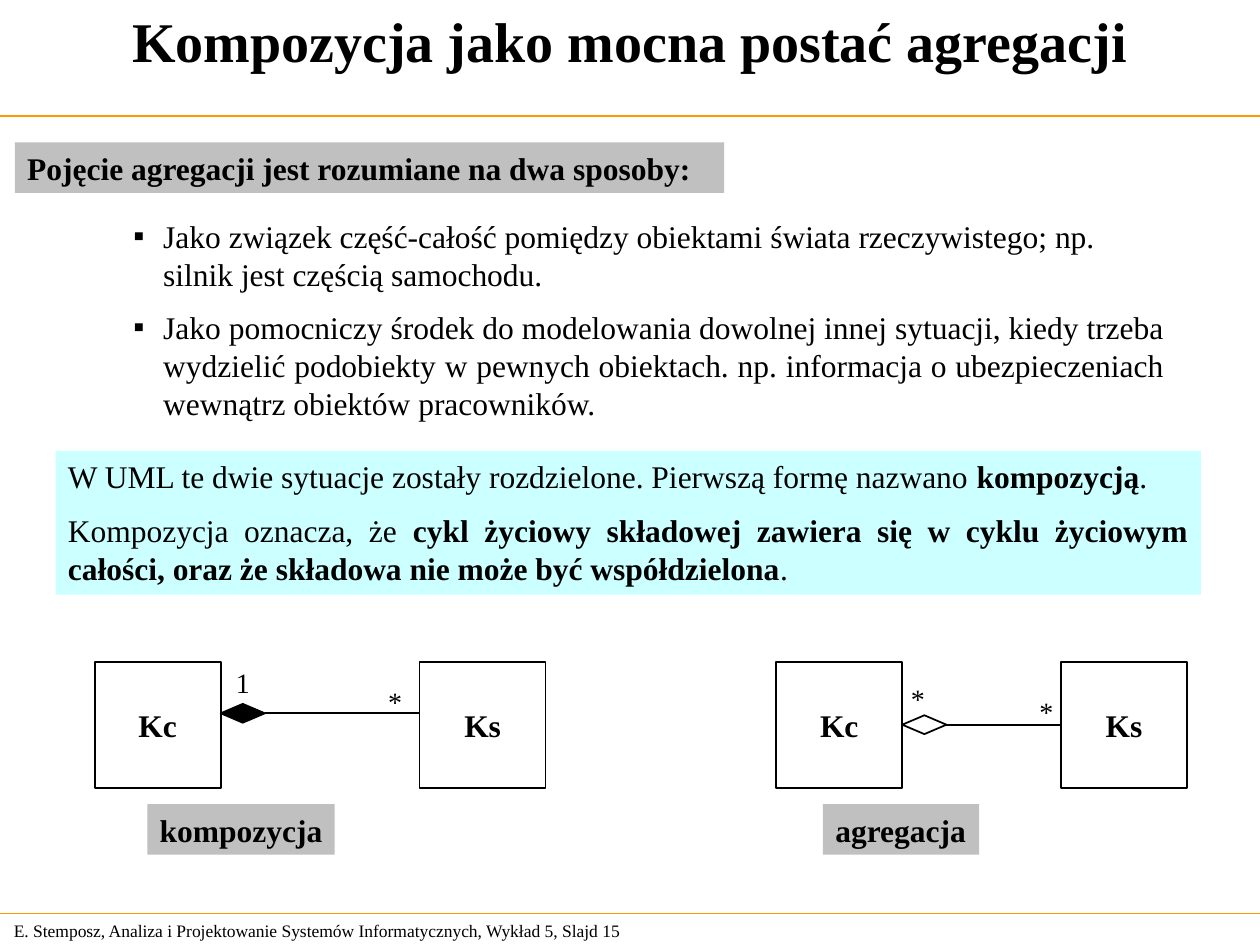
"""Build a lecture slide comparing composition and aggregation in UML."""
from dataclasses import dataclass

from lxml import etree
from pptx import Presentation
from pptx import util as u
from pptx.dml.color import RGBColor
from pptx.enum import shapes, text
from pptx.oxml.ns import qn


@dataclass(frozen=True)
class Theme:
    font: str = "Times New Roman"
    ink: str = "000000"
    rule: str = "FF9900"
    label: str = "C0C0C0"
    note: str = "CCFFFF"
    title: int = 32
    body: int = 18
    mark: int = 16
    footer: int = 10
    gap: int = 9
    outline: float = 1
    rule_width: float = 0.75


THEME = Theme()
WIDTH, HEIGHT = 25.4, 19.05
LEFT, CENTER, JUSTIFY = text.PP_ALIGN.LEFT, text.PP_ALIGN.CENTER, text.PP_ALIGN.JUSTIFY
TOP, MIDDLE = text.MSO_ANCHOR.TOP, text.MSO_ANCHOR.MIDDLE

TITLE = "Kompozycja jako mocna postać agregacji"
HEADING = "Pojęcie agregacji jest rozumiane na dwa sposoby:"
FOOTER = "E. Stemposz, Analiza i Projektowanie Systemów Informatycznych, Wykład 5, Slajd 15"
MEANINGS = [
    ("Jako związek część-całość pomiędzy obiektami świata rzeczywistego; np. "
     "silnik jest częścią samochodu.", LEFT),
    ("Jako pomocniczy środek do modelowania dowolnej innej sytuacji, kiedy trzeba "
     "wydzielić podobiekty w pewnych obiektach. np. informacja o ubezpieczeniach "
     "wewnątrz obiektów pracowników.", JUSTIFY),
]
NOTES = [
    (["W UML te dwie sytuacje zostały rozdzielone. Pierwszą formę nazwano ",
      "kompozycją", "."], LEFT),
    (["Kompozycja oznacza, że ",
      "cykl życiowy składowej zawiera się w cyklu życiowym całości, "
      "oraz że składowa nie może być współdzielona", "."], JUSTIFY),
]
DIAGRAMS = [
    {"label": "agregacja", "label_at": (16.59, 3.15), "whole": 15.65, "part": 21.39,
     "axis": 14.61, "diamond": None,
     "marks": [("*", 20.7, 13.87), ("*", 18.11, 13.61)]},
    {"label": "kompozycja", "label_at": (2.97, 3.78), "whole": 1.91, "part": 8.46,
     "axis": 14.38, "diamond": THEME.ink,
     "marks": [("*", 7.57, 13.67), ("1", 4.5, 13.28)]},
]
RULES = (2.34, 18.42)
BOX, BOX_TOP = 2.54, 13.34
DIAMOND_WIDTH, DIAMOND_HEIGHT = 0.89, 0.38
LABEL_TOP, LABEL_HEIGHT = 16.21, 1.02


def lengths(*values):
    return [u.Cm(value) for value in values]


def format_para(para, size, bold=False, align=LEFT, before=0):
    para.alignment = align
    para.line_spacing = 1.0
    para.space_before, para.space_after = u.Pt(before), u.Pt(0)
    for span in para.runs:
        span.font.name, span.font.size, span.font.bold = THEME.font, u.Pt(size), bold
        span.font.color.rgb = RGBColor.from_string(THEME.ink)


def set_frame(shape, anchor=TOP, wrap=True):
    frame = shape.text_frame
    frame.auto_size = text.MSO_AUTO_SIZE.NONE
    frame.word_wrap, frame.vertical_anchor = wrap, anchor
    frame.margin_left = frame.margin_right = u.Cm(0.25)
    frame.margin_top = frame.margin_bottom = u.Cm(0.13)
    return frame


def write(shape, wording, size, bold=False, align=LEFT, anchor=TOP, wrap=True):
    frame = set_frame(shape, anchor, wrap)
    frame.text = wording
    format_para(frame.paragraphs[0], size, bold, align)


def add_block(page, kind, place, fill=None, line=None):
    block = page.shapes.add_shape(kind, *lengths(*place))
    block.shadow.inherit = False
    if fill:
        block.fill.solid()
        block.fill.fore_color.rgb = RGBColor.from_string(fill)
    else:
        block.fill.background()
    if line:
        block.line.color.rgb = RGBColor.from_string(line)
        block.line.width = u.Pt(THEME.outline)
    else:
        block.line.fill.background()
    return block


def add_line(page, ends, color, width):
    line = page.shapes.add_connector(shapes.MSO_CONNECTOR.STRAIGHT, *lengths(*ends))
    line.line.color.rgb = RGBColor.from_string(color)
    line.line.width = u.Pt(width)
    etree.SubElement(line._element.spPr, qn("a:effectLst"))
    return line


def add_text(page, wording, place, size, **style):
    write(page.shapes.add_textbox(*lengths(*place)), wording, size, **style)


def add_label(page, wording, place):
    label = add_block(page, shapes.MSO_SHAPE.RECTANGLE, place, THEME.label)
    write(label, wording, THEME.body, bold=True, wrap=False)


def add_bullet(para):
    properties = para._p.get_or_add_pPr()
    properties.set("marL", str(u.Cm(0.6)))
    properties.set("indent", str(-u.Cm(0.6)))
    etree.SubElement(properties, qn("a:buFont"), typeface=THEME.font)
    etree.SubElement(properties, qn("a:buChar"), char="▪")


def place_placeholder(holder, place):
    holder.left, holder.top, holder.width, holder.height = lengths(*place)


def add_meanings(body):
    place_placeholder(body, (2.44, 4.24, 21.29, 4.42))
    frame = set_frame(body)
    for index, (wording, align) in enumerate(MEANINGS):
        para = frame.add_paragraph() if index else frame.paragraphs[0]
        para.text = wording
        add_bullet(para)
        format_para(para, THEME.body, align=align, before=THEME.gap if index else 0)


def add_notes(page):
    panel = add_block(page, shapes.MSO_SHAPE.RECTANGLE, (1.12, 9.09, 23.09, 2.9), THEME.note)
    frame = set_frame(panel)
    for index, (pieces, align) in enumerate(NOTES):
        para = frame.add_paragraph() if index else frame.paragraphs[0]
        for piece in pieces:
            para.add_run().text = piece
        format_para(para, THEME.body, align=align, before=THEME.gap if index else 0)
        para.runs[1].font.bold = True


def add_diagram(page, diagram):
    axis, diamond_left = diagram["axis"], diagram["whole"] + BOX
    for name, left in (("Kc", diagram["whole"]), ("Ks", diagram["part"])):
        box = add_block(page, shapes.MSO_SHAPE.RECTANGLE, (left, BOX_TOP, BOX, BOX),
                        line=THEME.ink)
        write(box, name, THEME.body, True, CENTER, MIDDLE, False)
    diamond_place = (diamond_left, axis - DIAMOND_HEIGHT / 2, DIAMOND_WIDTH, DIAMOND_HEIGHT)
    diamond = add_block(page, shapes.MSO_SHAPE.DIAMOND, diamond_place,
                        diagram["diamond"], THEME.ink)
    link = add_line(page, (diamond_left + DIAMOND_WIDTH, axis, diagram["part"], axis),
                    THEME.ink, THEME.outline)
    link.begin_connect(diamond, 3)
    if math_middle(axis):
        link.end_connect(box, 1)
    for mark, left, top in diagram["marks"]:
        add_text(page, mark, (left, top, 0.79, 0.94), THEME.mark, align=CENTER, wrap=False)
    left, width = diagram["label_at"]
    add_label(page, diagram["label"], (left, LABEL_TOP, width, LABEL_HEIGHT))


def math_middle(axis):
    return abs(axis - BOX_TOP - BOX / 2) < 0.01


def main():
    deck = Presentation()
    deck.slide_width, deck.slide_height = lengths(WIDTH, HEIGHT)
    page = deck.slides.add_slide(deck.slide_layouts[1])
    place_placeholder(page.shapes.title, (0, 0, WIDTH, 2.13))
    write(page.shapes.title, TITLE, THEME.title, bold=True, align=CENTER)
    add_meanings(page.placeholders[1])
    for height in RULES:
        add_line(page, (0, height, WIDTH, height), THEME.rule, THEME.rule_width)
    add_text(page, FOOTER, (0.03, 18.42, 13.3, 0.69), THEME.footer, anchor=MIDDLE, wrap=False)
    add_label(page, HEADING, (0.3, 2.87, 14.3, LABEL_HEIGHT))
    add_notes(page)
    for diagram in DIAGRAMS:
        add_diagram(page, diagram)
    deck.save("out.pptx")


if __name__ == "__main__":
    main()
